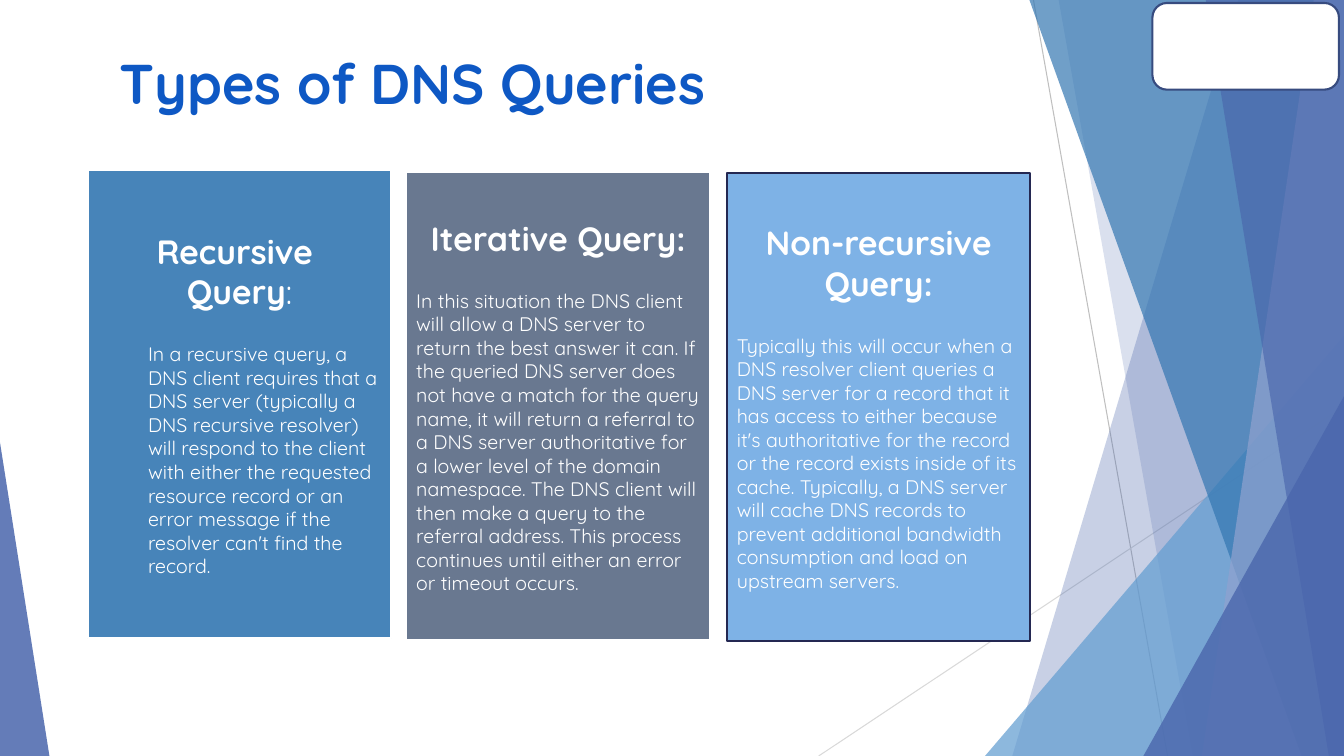
"""Build the slide on the three types of DNS queries."""
from lxml import etree
from pptx import Presentation
from pptx.dml.color import RGBColor
from pptx.enum.shapes import MSO_CONNECTOR, MSO_SHAPE
from pptx.enum.text import MSO_ANCHOR, MSO_AUTO_SIZE, PP_ALIGN
from pptx.oxml.ns import qn
from pptx.util import Pt

STRAIGHT = MSO_CONNECTOR.STRAIGHT
RECTANGLE, ROUNDED, TRIANGLE = MSO_SHAPE.RECTANGLE, MSO_SHAPE.ROUNDED_RECTANGLE, MSO_SHAPE.ISOSCELES_TRIANGLE
TOP, MIDDLE = MSO_ANCHOR.TOP, MSO_ANCHOR.MIDDLE
LEFT, CENTER = PP_ALIGN.LEFT, PP_ALIGN.CENTER
NO_AUTOFIT = MSO_AUTO_SIZE.NONE

PX = 9144
WIDTH, HEIGHT = 1333, 750
FONT = "Quicksand"
COLORS = {
    "white": "FFFFFF", "title": "0E58C4", "navy": "242852", "frame": "374B7F",
    "indigo": "4A66AC", "sky": "629DD1", "blue": "3477B2", "lavender": "90A2CF",
    "slate": "596A85", "light": "7EB2E6", "gray": "BFBFBF", "pale": "D9D9D9",
}

TITLE = "Types of DNS Queries"
QUERIES = [
    {"place": (87, 169), "fill": "blue", "opacity": 90, "line": "white", "indent": 50,
     "heading": [[("Recursive ", True)], [("Query", True), (":", False)]],
     "body": "In a recursive query, a DNS client requires that a DNS server (typically a DNS "
             "recursive resolver) will respond to the client with either the requested resource "
             "record or an error message if the resolver can't find the record."},
    {"place": (403, 171), "fill": "slate", "opacity": 90, "line": "white", "indent": 0,
     "heading": [[("Iterative Query:", True)]],
     "body": "In this situation the DNS client will allow a DNS server to return the best answer "
             "it can. If the queried DNS server does not have a match for the query name, it will "
             "return a referral to a DNS server authoritative for a lower level of the domain "
             "namespace. The DNS client will then make a query to the referral address. This "
             "process continues until either an error or timeout occurs."},
    {"place": (721, 172), "fill": "light", "opacity": 100, "line": "navy", "indent": 0,
     "heading": [[("Non-recursive Query:", True)]],
     "body": "Typically this will occur when a DNS resolver client queries a DNS server for a "
             "record that it has access to either because it's authoritative for the record or "
             "the record exists inside of its cache. Typically, a DNS server will cache DNS "
             "records to prevent additional bandwidth consumption and load on upstream servers."},
]
CARD_SIZE = (301, 464)
BADGE = (1143, 3, 185, 86)

RAYS = [((1025, 0), (1158, HEIGHT), "gray"), ((WIDTH, 403), (812, HEIGHT), "pale")]
# Each band runs from its top-left x to its bottom-left x and reaches the right edge.
BAND, PEAK = "band", "peak"
FACETS = [
    (BAND, (1228, 1004), "indigo", 30),
    (BAND, (1050, 1183), "indigo", 20),
    (PEAK, (977, 333, 356, 1), "sky", 72),
    (BAND, (1021, 1291), "blue", 70),
    (BAND, (1303, 1192), "lavender", 70),
    (BAND, (1196, 1318), "indigo", 65),
    (PEAK, (1134, 393, 199, 1), "indigo", 80),
    (PEAK, (0, 439, 49, 0), "indigo", 85),
]


def color(name):
    return RGBColor.from_string(COLORS[name])


def emu(*lengths):
    return [length * PX for length in lengths]


def paint(shape, fill, opacity=100, line=None):
    shape.shadow.inherit = False
    shape.fill.solid()
    shape.fill.fore_color.rgb = color(fill)
    if opacity < 100:
        tint = shape.fill._xPr.find(qn("a:solidFill"))[0]
        etree.SubElement(tint, qn("a:alpha")).set("val", str(opacity * 1000))
    if line:
        shape.line.color.rgb = color(line)
        shape.line.width = Pt(1.5)
    else:
        shape.line.fill.background()


def write(paragraph, text, size, ink, bold=False):
    run = paragraph.add_run()
    run.text = text
    run.font.name = FONT
    run.font.size = Pt(size)
    run.font.bold = bold
    run.font.color.rgb = color(ink)


def add_ray(shapes, start, end, ink):
    ray = shapes.add_connector(STRAIGHT, *emu(*start, *end))
    ray.line.color.rgb = color(ink)
    ray.line.width = Pt(0.75)
    etree.SubElement(ray._element.spPr, qn("a:effectLst"))


def add_facet(shapes, kind, geometry, fill, opacity):
    if kind == BAND:
        top_x, bottom_x = geometry
        outline = shapes.build_freeform(top_x, 0, scale=PX)
        outline.add_line_segments([(WIDTH, 0), (WIDTH, HEIGHT), (bottom_x, HEIGHT)], close=True)
        facet = outline.convert_to_shape()
    else:
        left, top, width, apex = geometry
        facet = shapes.add_shape(TRIANGLE, *emu(left, top, width, HEIGHT - top))
        facet.adjustments[0] = apex
    paint(facet, fill, opacity)


def add_query(shapes, query):
    card = shapes.add_shape(RECTANGLE, *emu(*query["place"], *CARD_SIZE))
    paint(card, query["fill"], query["opacity"], query["line"])
    frame = card.text_frame
    frame.word_wrap = True
    frame.vertical_anchor = MIDDLE
    heading = frame.paragraphs[0]
    for index, parts in enumerate(query["heading"]):
        if index:
            heading = frame.add_paragraph()
        heading.alignment = CENTER
        for text, bold in parts:
            write(heading, text, 24, "white", bold)
    body = frame.add_paragraph()
    body.alignment = LEFT
    body.space_before = Pt(22)
    if query["indent"]:
        body.level = 1
        body._p.get_or_add_pPr().set("marL", str(query["indent"] * PX))
    write(body, query["body"], 14, "white")


def main():
    deck = Presentation()
    deck.slide_width, deck.slide_height = emu(WIDTH, HEIGHT)
    slide = deck.slides.add_slide(deck.slide_layouts[5])
    shapes = slide.shapes

    for ray in RAYS:
        add_ray(shapes, *ray)
    for facet in FACETS:
        add_facet(shapes, *facet)

    title = shapes.title
    title.left, title.top, title.width, title.height = emu(109, 38, 697, 88)
    frame = title.text_frame
    frame.margin_left = frame.margin_right = frame.margin_top = frame.margin_bottom = 10 * PX
    frame.word_wrap = True
    frame.auto_size = NO_AUTOFIT
    frame.vertical_anchor = TOP
    frame.paragraphs[0].alignment = LEFT
    write(frame.paragraphs[0], TITLE, 40, "title", True)

    for query in QUERIES:
        add_query(shapes, query)
    badge = shapes.add_shape(ROUNDED, *emu(*BADGE))
    paint(badge, "white", line="frame")

    deck.save("out.pptx")


if __name__ == "__main__":
    main()
